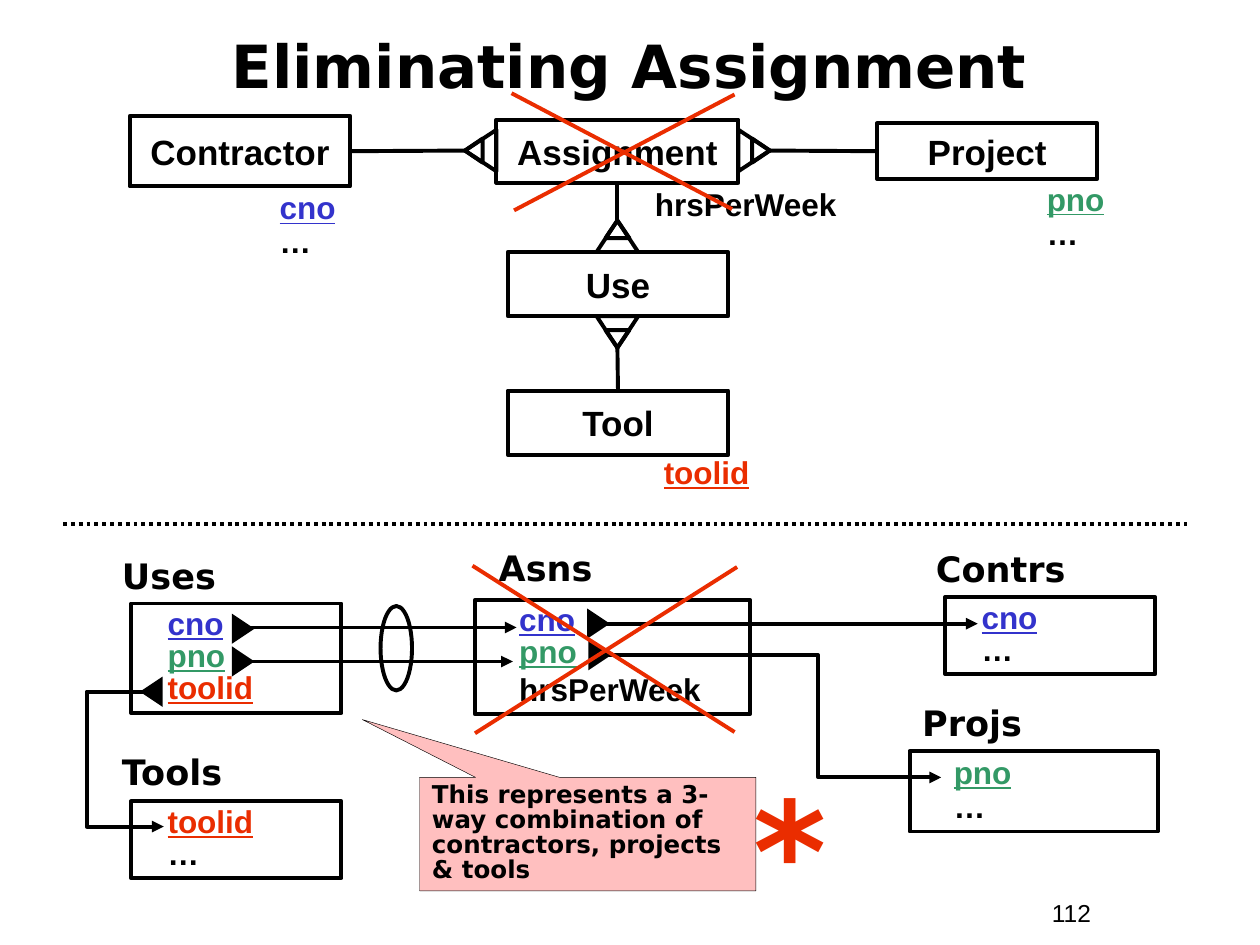
from dataclasses import dataclass
from math import cos, radians, sin

from lxml import etree
from pptx import Presentation
from pptx.dml.color import RGBColor
from pptx.enum.dml import MSO_LINE
from pptx.enum.shapes import MSO_CONNECTOR, MSO_SHAPE
from pptx.enum.text import MSO_ANCHOR, PP_ALIGN
from pptx.oxml.ns import qn
from pptx.util import Inches, Pt

BLACK = RGBColor(0x00, 0x00, 0x00)
BLUE = RGBColor(0x33, 0x33, 0xCC)
GREEN = RGBColor(0x33, 0x99, 0x66)
RED = RGBColor(0xEA, 0x2D, 0x00)
PINK = RGBColor(0xFF, 0xBF, 0xBF)
SANS = "DejaVu Sans"
ARIAL = "Arial"
STRAIGHT, ELBOW = MSO_CONNECTOR.STRAIGHT, MSO_CONNECTOR.ELBOW
RECTANGLE, OVAL = MSO_SHAPE.RECTANGLE, MSO_SHAPE.OVAL
TRIANGLE, CALLOUT = MSO_SHAPE.ISOSCELES_TRIANGLE, MSO_SHAPE.RECTANGULAR_CALLOUT
LEFT, CENTER = PP_ALIGN.LEFT, PP_ALIGN.CENTER
TOP, MIDDLE = MSO_ANCHOR.TOP, MSO_ANCHOR.MIDDLE
UP, RIGHT_WAY, DOWN, LEFT_WAY = 0, 90, 180, 270
SIDE_TOP, SIDE_LEFT, SIDE_BOTTOM, SIDE_RIGHT = range(4)


@dataclass(frozen=True)
class Line:
    text: str
    color: RGBColor = BLACK
    size: float = 18
    font: str = ARIAL
    bold: bool = True
    underline: bool = False
    spacing: float = 0.85


@dataclass(frozen=True)
class Relation:
    name: str
    name_x: float
    name_y: float
    frame: tuple[float, float, float, float]
    indent: float
    fields: tuple[Line, ...]


def key(text: str, color: RGBColor, spacing: float = 0.85) -> Line:
    return Line(text, color, underline=True, spacing=spacing)


CNO, PNO, TOOLID = key("cno", BLUE), key("pno", GREEN), key("toolid", RED)
MORE = Line("…")
MORE_LOOSE = Line("…", spacing=0.9)
PNO_LOOSE = key("pno", GREEN, 0.9)

RELATIONS = (
    Relation("Asns", 3.86, 4.29, (3.77, 4.76, 2.18, 0.91), 0.25,
             (CNO, PNO, Line("hrsPerWeek", spacing=1))),
    Relation("Projs", 7.22, 5.52, (7.22, 5.96, 1.97, 0.64), 0.25, (PNO_LOOSE, MORE_LOOSE)),
    Relation("Contrs", 7.33, 4.3, (7.5, 4.74, 1.67, 0.61), 0.19, (CNO, MORE)),
    Relation("Uses", 0.87, 4.35, (1.04, 4.79, 1.67, 0.87), 0.19, (CNO, PNO, TOOLID)),
    Relation("Tools", 0.87, 5.91, (1.04, 6.36, 1.67, 0.61), 0.19, (TOOLID, MORE)),
)
ENTITIES = {
    "Contractor": (1.03, 0.92, 1.75, 0.56),
    "Assignment": (3.94, 0.95, 1.92, 0.5),
    "Project": (6.96, 0.98, 1.75, 0.44),
    "Use": (4.03, 2, 1.75, 0.51),
    "Tool": (4.03, 3.1, 1.75, 0.51),
}
ATTRIBUTES = (
    ((2.12, 1.48, 1.25, 0.64), (key("cno", BLUE, 0.9), MORE_LOOSE)),
    ((8.21, 1.41, 1, 0.64), (PNO_LOOSE, MORE_LOOSE)),
    ((5.1, 1.45, 1.83, 0.37), (Line("hrsPerWeek", spacing=0.9),)),
    ((5.17, 3.58, 1.33, 0.37), (key("toolid", RED, 0.9),)),
)
CROW_FEET = (
    (6.11, 1.195, RIGHT_WAY, "Project", SIDE_LEFT),
    (3.69, 1.195, LEFT_WAY, "Contractor", SIDE_RIGHT),
    (4.9, 1.75, UP, "Assignment", SIDE_BOTTOM),
    (4.9, 2.76, DOWN, "Tool", SIDE_TOP),
)
KEY_MARKERS = (
    (4.84, 4.95, RIGHT_WAY),
    (4.85, 5.2, RIGHT_WAY),
    (2.02, 4.99, RIGHT_WAY),
    (2.02, 5.25, RIGHT_WAY),
    (1.11, 5.49, LEFT_WAY),
)
STRAIGHT_ARROWS = (
    (4.67, 4.95, 7.76, 4.95),
    (1.86, 4.98, 4.1, 4.98),
    (1.85, 5.25, 4.07, 5.25),
)
BENT_ARROWS = (
    ((4.68, 5.2, 7.47, 6.17), 0.65),
    ((1.26, 5.49, 1.3, 6.56), -14.25),
)
CROSS_STROKES = (
    (4.08, 1.67, 5.83, 0.75),
    (5.81, 1.66, 4.06, 0.74),
    (3.77, 5.82, 5.85, 4.5),
    (5.83, 5.81, 3.75, 4.49),
)


def write(box, lines, align=LEFT, anchor=TOP, indent=0.0, wrap=True) -> None:
    frame = box.text_frame
    frame.word_wrap = wrap
    frame.vertical_anchor = anchor
    frame.margin_left = Inches(0.1 + indent)
    for number, line in enumerate(lines):
        para = frame.add_paragraph() if number else frame.paragraphs[0]
        para.text = line.text
        para.alignment = align
        para.line_spacing = line.spacing
        font = para.font
        font.name, font.size, font.bold = line.font, Pt(line.size), line.bold
        font.underline = line.underline
        font.color.rgb = line.color


def add_label(page, frame, lines, align=LEFT, anchor=TOP) -> None:
    write(page.shapes.add_textbox(*map(Inches, frame)), lines, align, anchor)


def add_figure(page, kind, frame, fill=None, width: float = 2.25):
    figure = page.shapes.add_shape(kind, *map(Inches, frame))
    figure.shadow.inherit = False
    if fill is None:
        figure.fill.background()
    else:
        figure.fill.solid()
        figure.fill.fore_color.rgb = fill
    if width:
        figure.line.color.rgb = BLACK
        figure.line.width = Pt(width)
    else:
        figure.line.fill.background()
    return figure


def add_triangle(page, apex_x: float, apex_y: float, base: float, height: float,
                 direction: int, fill=None, width: float = 2.25) -> None:
    angle = radians(direction)
    center_x = apex_x - sin(angle) * height / 2
    center_y = apex_y + cos(angle) * height / 2
    frame = (center_x - base / 2, center_y - height / 2, base, height)
    add_figure(page, TRIANGLE, frame, fill, width).rotation = direction


def add_line(page, ends, color=BLACK, kind=STRAIGHT, arrow=False):
    line = page.shapes.add_connector(kind, *map(Inches, ends))
    line.line.color.rgb = color
    line.line.width = Pt(2.25)
    properties = line.element.spPr
    if arrow:
        etree.SubElement(properties.find(qn("a:ln")), qn("a:tailEnd"), type="triangle")
    etree.SubElement(properties, qn("a:effectLst"))
    return line


def add_bent_arrow(page, ends, bend: float) -> None:
    arrow = add_line(page, ends, kind=ELBOW, arrow=True)
    guides = arrow.element.spPr.find(qn("a:prstGeom")).find(qn("a:avLst"))
    etree.SubElement(guides, qn("a:gd"), name="adj1", fmla=f"val {round(bend * 100000)}")


def add_relation(page, relation: Relation) -> None:
    add_label(page, (relation.name_x, relation.name_y, 1.8, 0.44),
              [Line(relation.name, size=20, font=SANS, spacing=1)])
    write(add_figure(page, RECTANGLE, relation.frame), relation.fields, indent=relation.indent)


def add_entity(page, name: str, frame):
    box = add_figure(page, RECTANGLE, frame)
    write(box, [Line(name, size=20, spacing=1)], CENTER, MIDDLE, wrap=False)
    return box


def main() -> None:
    deck = Presentation()
    deck.slide_width, deck.slide_height = Inches(10), Inches(7.5)
    page = deck.slides.add_slide(deck.slide_layouts[6])

    add_label(page, (8.25, 7.08, 0.92, 0.34), [Line("112", size=14, bold=False, spacing=1)])
    add_label(page, (0.33, 0.1, 9.33, 0.83),
              [Line("Eliminating Assignment", size=34, font=SANS, spacing=1)], CENTER, MIDDLE)

    for relation in RELATIONS:
        add_relation(page, relation)
    for ends in STRAIGHT_ARROWS:
        add_line(page, ends, arrow=True)
    for ends, bend in BENT_ARROWS:
        add_bent_arrow(page, ends, bend)
    add_figure(page, OVAL, (3.02, 4.81, 0.25, 0.67))

    callout = add_figure(page, CALLOUT, (3.33, 6.17, 2.67, 0.9), PINK, 0.25)
    callout.adjustments[0], callout.adjustments[1] = -0.67, -1.01
    write(callout, [Line("This represents a 3-way combination of contractors, projects & tools",
                         size=14, font=SANS)])
    for x, y, direction in KEY_MARKERS:
        add_triangle(page, x, y, 0.24, 0.18, direction, BLACK, 0)
    add_label(page, (5.86, 6.21, 0.83, 1.24), [Line("*", RED, 80, SANS)], CENTER)

    entities = {name: add_entity(page, name, frame) for name, frame in ENTITIES.items()}
    for x, y, direction, name, side in CROW_FEET:
        link = add_line(page, (x, y, x, y))
        link.begin_connect(entities[name], side)
        for base, height in ((0.33, 0.25), (0.19, 0.14)):
            add_triangle(page, x, y, base, height, direction)
    for frame, lines in ATTRIBUTES:
        add_label(page, frame, lines)

    add_line(page, (0.5, 4.16, 9.42, 4.16)).line.dash_style = MSO_LINE.ROUND_DOT
    for ends in CROSS_STROKES:
        add_line(page, ends, RED)
    deck.save("out.pptx")


if __name__ == "__main__":
    main()
